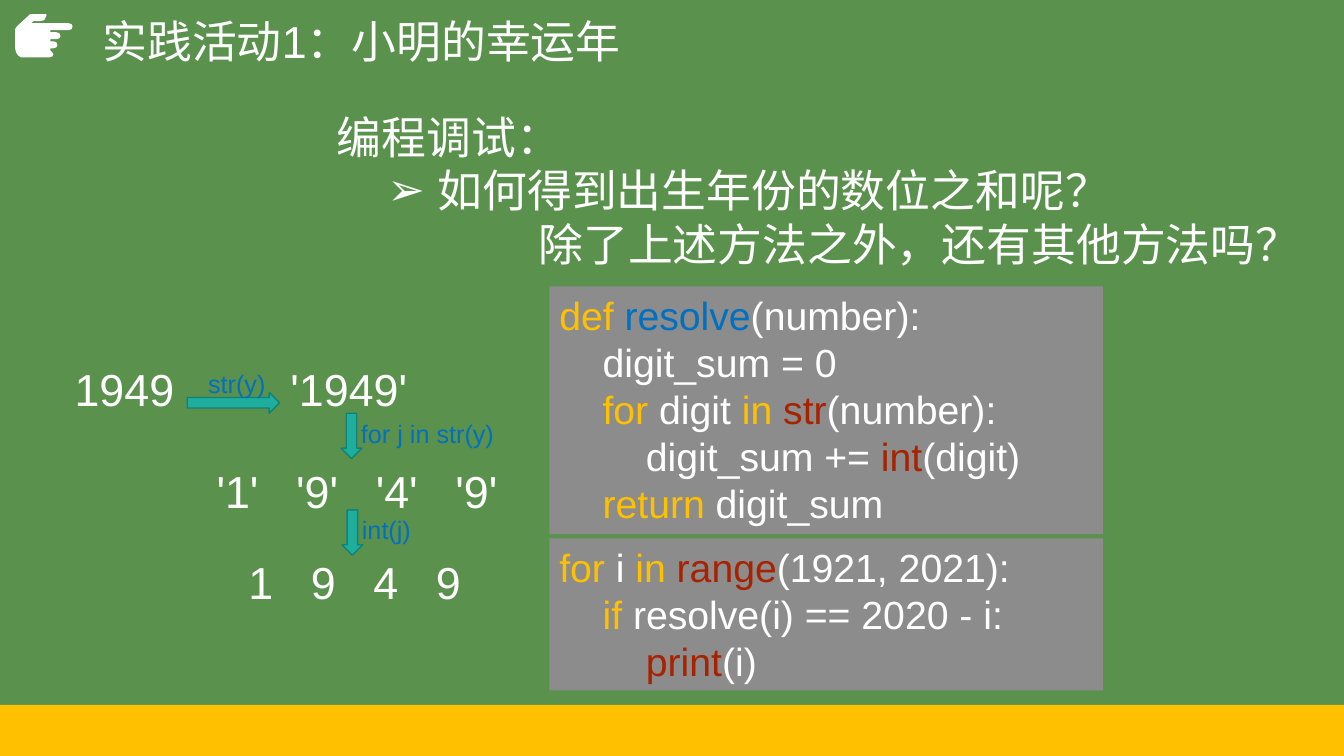
import pptx
import pptx.dml.color
import pptx.enum.shapes
import pptx.enum.text
import pptx.oxml.ns
import pptx.util
from lxml import etree

Inches, Pt = pptx.util.Inches, pptx.util.Pt
SHAPE = pptx.enum.shapes.MSO_SHAPE
ANCHOR = pptx.enum.text.MSO_ANCHOR
LEFT = pptx.enum.text.PP_ALIGN.LEFT
WHITE, YELLOW, BLUE, RED = "FFFFFF", "FFC000", "0070C0", "A82200"
GREEN, GRAY, TEAL, DARK_TEAL = "5A914D", "8C8C8C", "1DAE9E", "158175"

deck = pptx.Presentation()
deck.slide_width, deck.slide_height = Inches(13.333), Inches(7.5)
page = deck.slides.add_slide(deck.slide_layouts[1])

# Grid of 160 columns by 90 rows
column, row = deck.slide_width / 160, deck.slide_height / 90


def grid(left, top, width, height):
    return [round(n * unit) for n, unit in
            zip((left, top, width, height), (column, row, column, row))]


def paint(fill, color):
    fill.solid()
    fill.fore_color.rgb = pptx.dml.color.RGBColor.from_string(color)


# Background and bottom band
paint(page.background.fill, GREEN)
band = page.shapes.add_shape(SHAPE.RECTANGLE, *grid(0, 83.9, 160, 6.1))
band.shadow.inherit = False
paint(band.fill, YELLOW)
band.line.fill.background()

# Pointing hand, in hundredths of an inch
hand_points = [
    (52, 52), (50, 50), (50, 48), (53, 48), (56, 47), (57, 45), (56, 42), (53, 41),
    (50, 41), (50, 39), (56, 39), (59, 38), (60, 36), (59, 33), (56, 32), (50, 32),
    (50, 30), (68, 30), (71, 29), (72, 26), (71, 24), (68, 23), (31, 23), (33, 21),
    (40, 21), (44, 20), (46, 16), (46, 14), (30, 14), (17, 26), (15, 29), (15, 48),
    (16, 52), (18, 55), (21, 57), (25, 57), (49, 57), (52, 56), (53, 54)]
outline = page.shapes.build_freeform(*hand_points[0], scale=Inches(0.01))
outline.add_line_segments(hand_points[1:], close=True)
hand = outline.convert_to_shape()
hand.shadow.inherit = False
paint(hand.fill, WHITE)
hand.line.fill.background()

# Title
title = page.shapes.title
title.left, title.top, title.width, title.height = grid(11, 1.1, 138, 8.2)
title.text_frame.text = "实践活动1：小明的幸运年"
title.text_frame.auto_size = pptx.enum.text.MSO_AUTO_SIZE.NONE
title.text_frame.vertical_anchor = ANCHOR.MIDDLE
para = title.text_frame.paragraphs[0]
para.alignment, para.line_spacing = LEFT, 0.9
para.font.name, para.font.size = "Arial", Pt(32)
paint(para.font.fill, WHITE)

# Questions: text, level, left margin, first-line indent, bullet
questions = [
    ("编程调试：", 0, 0, 0, None),
    ("如何得到出生年份的数位之和呢？", 1, 1, -0.5, "➢"),
    ("除了上述方法之外，还有其他方法吗？", 2, 2, 0, None)]
body = page.placeholders[1]
body.left, body.top, body.width, body.height = grid(38.9, 12.4, 121.1, 20.6)
body.text_frame.text = "\n".join(question[0] for question in questions)
body.text_frame.auto_size = pptx.enum.text.MSO_AUTO_SIZE.NONE
for para, (_, level, margin, indent, bullet) in zip(body.text_frame.paragraphs, questions):
    para.level, para.space_before = level, Pt(0)
    para.font.name, para.font.size = "Arial", Pt(32)
    paint(para.font.fill, WHITE)
    props = para._p.get_or_add_pPr()
    props.set("marL", str(Inches(margin)))
    props.set("indent", str(Inches(indent)))
    mark = etree.Element(pptx.oxml.ns.qn("a:buChar" if bullet else "a:buNone"))
    if bullet:
        mark.set("char", bullet)
    props.insert_element_before(mark, "a:tabLst", "a:defRPr", "a:extLst")

# Code panels: top row, height, lines of (indent depth, coloured spans)
panels = [
    (34.1, 29.5, [
        (0, [("def ", YELLOW), ("resolve", BLUE), ("(number):", WHITE)]),
        (1, [("digit_sum = 0", WHITE)]),
        (1, [("for", YELLOW), (" digit ", WHITE), ("in ", YELLOW),
             ("str", RED), ("(number):", WHITE)]),
        (2, [("digit_sum += ", WHITE), ("int", RED), ("(digit)", WHITE)]),
        (1, [("return ", YELLOW), ("digit_sum", WHITE)])]),
    (64.1, 18.1, [
        (0, [("for", YELLOW), (" i ", WHITE), ("in ", YELLOW),
             ("range", RED), ("(1921, 2021):", WHITE)]),
        (1, [("if", YELLOW), (" resolve(i) == 2020 - i:", WHITE)]),
        (2, [("print", RED), ("(i)", WHITE)])])]
for top, height, lines in panels:
    panel = page.shapes.add_shape(SHAPE.RECTANGLE, *grid(65.4, top, 65.9, height))
    panel.shadow.inherit = False
    paint(panel.fill, GRAY)
    panel.line.fill.background()
    frame = panel.text_frame
    frame.word_wrap, frame.vertical_anchor = True, ANCHOR.TOP
    for number, (depth, spans) in enumerate(lines):
        para = frame.add_paragraph() if number else frame.paragraphs[0]
        para.alignment = LEFT
        para.font.name, para.font.size = "Arial", Pt(28)
        para._p.get_or_add_pPr().set("marL", str(Inches(0.43 * depth)))
        for text, color in spans:
            span = para.add_run()
            span.text = text
            paint(span.font.fill, color)

# Arrows of the conversion
for kind, place in [(SHAPE.RIGHT_ARROW, (22.3, 46.7, 11, 2.5)),
                    (SHAPE.DOWN_ARROW, (40.6, 49.2, 2.5, 5.4)),
                    (SHAPE.DOWN_ARROW, (40.7, 60.7, 2.5, 5.4))]:
    arrow = page.shapes.add_shape(kind, *grid(*place))
    arrow.shadow.inherit = False
    paint(arrow.fill, TEAL)
    paint(arrow.line.fill, DARK_TEAL)
    arrow.line.width = Pt(1)

# Values and labels: text, place, size, colour, tab pitch in inches
values = [
    ("1949", (7.7, 42.5, 15.8, 7.7), 32, WHITE, 0),
    ("'1949'", (33.4, 42.5, 20.3, 7.7), 32, WHITE, 0),
    ("'1'\t'9'\t'4'\t'9'", (24.6, 54.6, 38.2, 7.7), 32, WHITE, 0.79),
    ("1\t9\t4\t9", (28.4, 65.5, 38.2, 7.7), 32, WHITE, 0.62),
    ("str(y)", (23.6, 43.2, 9.7, 4.8), 18, BLUE, 0),
    ("for j in str(y)", (41.8, 49.2, 21.6, 4.8), 18, BLUE, 0),
    ("int(j)", (41.9, 60.7, 8.8, 4.8), 18, BLUE, 0)]
for text, place, size, color, pitch in values:
    box = page.shapes.add_textbox(*grid(*place))
    box.text_frame.word_wrap = True
    para = box.text_frame.paragraphs[0]
    para.add_run().text = text
    para.font.name, para.font.size = "Arial", Pt(size)
    paint(para.font.fill, color)
    if pitch:
        tabs = etree.Element(pptx.oxml.ns.qn("a:tabLst"))
        for stop in range(1, 4):
            etree.SubElement(tabs, pptx.oxml.ns.qn("a:tab"),
                             pos=str(Inches(pitch * stop)), algn="l")
        para._p.get_or_add_pPr().insert_element_before(tabs, "a:defRPr", "a:extLst")

deck.save("out.pptx")
